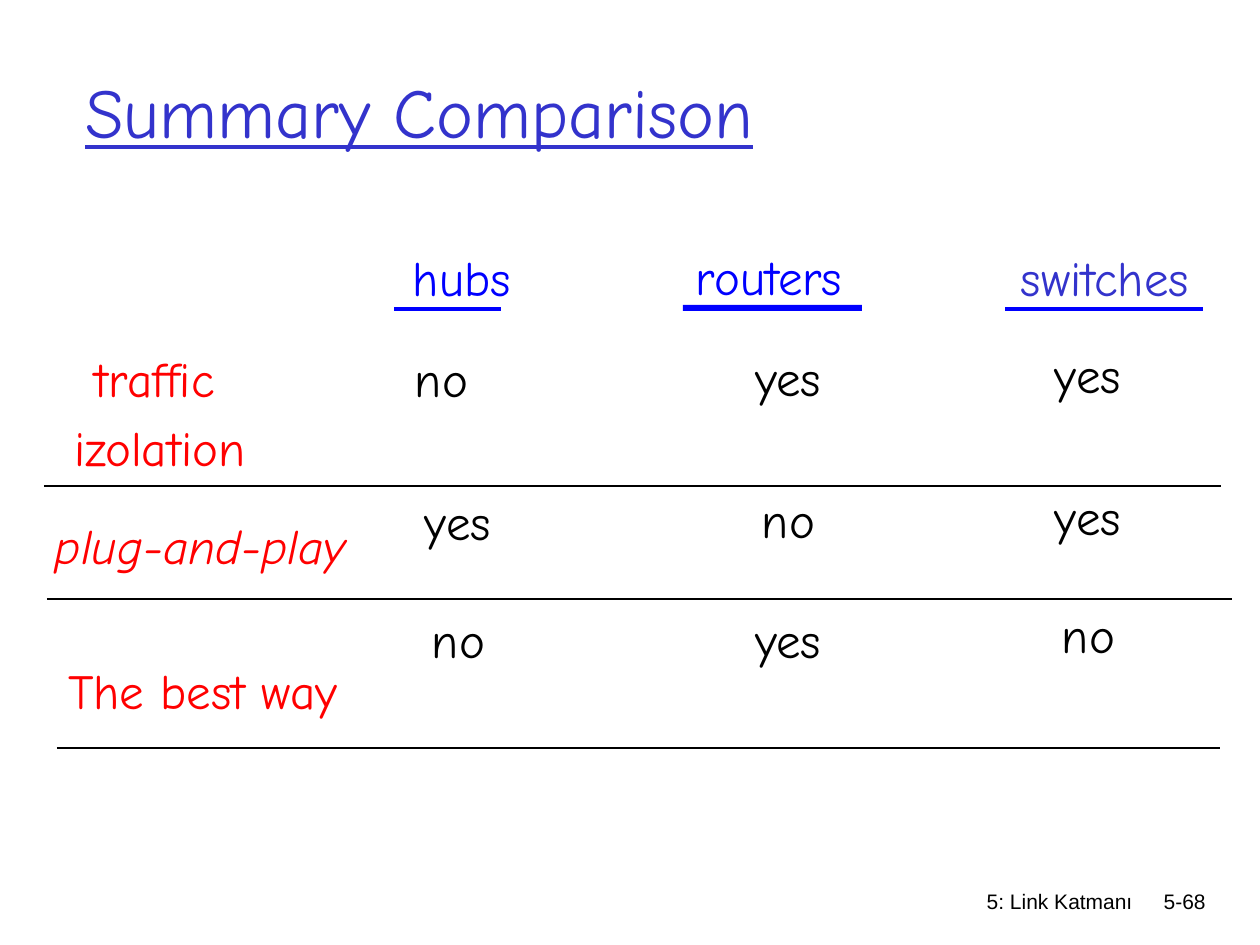
from dataclasses import dataclass

from lxml.etree import SubElement
from pptx import Presentation
from pptx.dml.color import RGBColor
from pptx.enum.shapes import MSO_CONNECTOR, MSO_SHAPE
from pptx.enum.text import MSO_ANCHOR, MSO_AUTO_SIZE, PP_ALIGN
from pptx.oxml.ns import qn
from pptx.slide import Slide
from pptx.util import Emu, Pt

PX_PER_INCH = 126
COLORS = {
    "title": "3333CC",
    "accent": "0000FF",
    "label": "FF0000",
    "text": "000000",
}


def px(*lengths):
    return [Emu(round(length * 914400 / PX_PER_INCH)) for length in lengths]


def color(name):
    return RGBColor.from_string(COLORS[name])


@dataclass
class SlidePainter:
    page: Slide
    font: str = "Comic Neue"
    footer_font: str = "Arial"
    entry_size: int = 28
    entry_height: int = 59

    def add_span(self, box, text, size, color_name, font, italic=None, underline=None):
        para = box.text_frame.paragraphs[0]
        span = para.add_run()
        span.text = text
        span.font.size = Pt(size)
        span.font.name = font
        span.font.italic = italic
        span.font.underline = underline
        span.font.color.rgb = color(color_name)
        return para

    def title(self, text, left, top, width, height):
        box = self.page.shapes.add_textbox(*px(left, top, width, height))
        box.text_frame.word_wrap = True
        box.text_frame.vertical_anchor = MSO_ANCHOR.MIDDLE
        self.add_span(box, text, 40, "title", self.font, underline=True)

    def footer(self, text, left, top, width, height):
        box = self.page.shapes.add_textbox(*px(left, top, width, height))
        box.text_frame.word_wrap = True
        para = self.add_span(box, text, 12, "text", self.footer_font)
        para.alignment = PP_ALIGN.RIGHT

    def entry(self, text, left, top, width, color_name="text", italic=None):
        """Add one unwrapped line of the comparison, without margins."""
        box = self.page.shapes.add_textbox(*px(left, top, width, self.entry_height))
        frame = box.text_frame
        frame.margin_left = frame.margin_right = 0
        frame.margin_top = frame.margin_bottom = 0
        frame.word_wrap = False
        frame.auto_size = MSO_AUTO_SIZE.SHAPE_TO_FIT_TEXT
        self.add_span(box, text, self.entry_size, color_name, self.font, italic)

    def bar(self, left, top, width, height):
        shape = self.page.shapes.add_shape(
            MSO_SHAPE.RECTANGLE, *px(left, top, width, height))
        shape.shadow.inherit = False
        shape.fill.solid()
        shape.fill.fore_color.rgb = color("accent")
        shape.line.fill.background()

    def rule(self, left, right, y):
        line = self.page.shapes.add_connector(
            MSO_CONNECTOR.STRAIGHT, *px(left, y, right, y))
        line.line.width = Pt(0.75)
        line.line.color.rgb = color("text")
        SubElement(line._element.spPr, qn("a:effectLst"))


HEADINGS = [  # text, left, top, width, colour
    ("hubs", 413, 247, 98, "accent"),
    ("routers", 696, 246, 149, "accent"),
    ("switches", 1021, 247, 169, "title"),
]
HEADING_BARS = [(394, 307, 107, 4), (683, 305, 179, 6), (1005, 307, 198, 4)]
LABELS = [  # text, left, top, width, italic
    ("traffic", 95, 349, 121, None),
    ("izolation", 74, 417, 173, None),
    ("plug-and-play", 55, 515, 291, True),
    ("The best way", 68, 660, 271, None),
]
ROW_TOPS = [344, 486, 605]
ANSWER_WIDTHS = {"yes": 67, "no": 53}
ANSWER_COLUMNS = [  # vertical offset, centre of each answer, answers
    (5, (441, 458, 458), ("no", "yes", "no")),
    (4, (788, 788, 788), ("yes", "no", "yes")),
    (0, (1088, 1088, 1088), ("yes", "yes", "no")),
]
RULES = [(44, 1221, 486), (47, 1232, 599), (57, 1220, 748)]


def main():
    deck = Presentation()
    deck.slide_width, deck.slide_height = px(1260, 945)
    painter = SlidePainter(deck.slides.add_slide(deck.slide_layouts[6]))

    painter.footer("5: Link Katmanı", 746, 882, 399, 63)
    painter.footer("5-68", 1125, 882, 93, 63)
    painter.title("Summary Comparison", 73, 32, 1071, 157)

    for heading in HEADINGS:
        painter.entry(*heading)
    for bar in HEADING_BARS:
        painter.bar(*bar)
    for text, left, top, width, italic in LABELS:
        painter.entry(text, left, top, width, "label", italic)
    for offset, centers, answers in ANSWER_COLUMNS:
        for row_top, center, answer in zip(ROW_TOPS, centers, answers):
            width = ANSWER_WIDTHS[answer]
            painter.entry(answer, center - width // 2, row_top + offset, width)
    for rule in RULES:
        painter.rule(*rule)

    deck.save("out.pptx")


if __name__ == "__main__":
    main()
